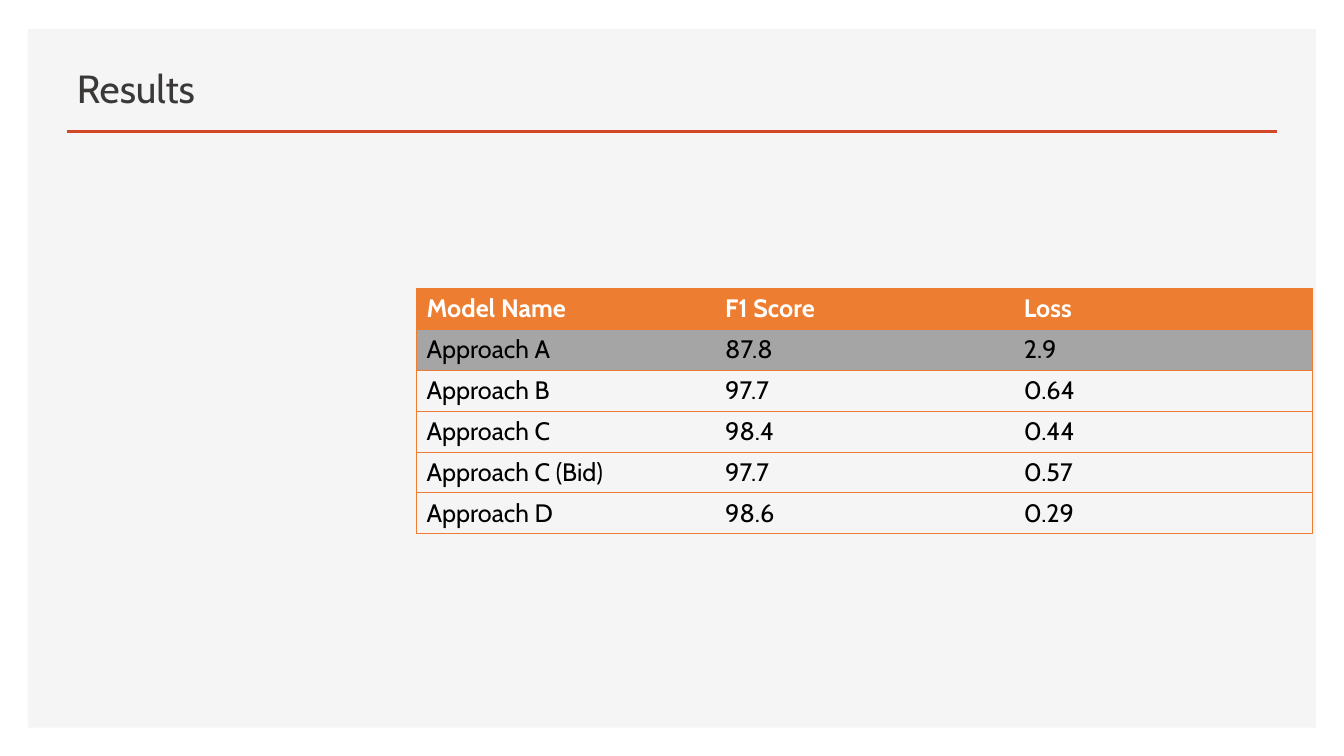
from lxml.etree import SubElement
from pptx import Presentation
from pptx.dml.color import RGBColor
from pptx.enum.shapes import MSO_CONNECTOR, MSO_SHAPE
from pptx.enum.text import MSO_ANCHOR, PP_ALIGN
from pptx.oxml import parse_xml
from pptx.oxml.ns import nsdecls, qn
from pptx.util import Pt

FONT = "Cabin"
ORANGE = "ED7D31"
RESULTS = [
    ("Model Name", "F1 Score", "Loss"),
    ("Approach A", "87.8", "2.9"),
    ("Approach B", "97.7", "0.64"),
    ("Approach C", "98.4", "0.44"),
    ("Approach C (Bid)", "97.7", "0.57"),
    ("Approach D", "98.6", "0.29"),
]


def rgb(color):
    return RGBColor.from_string(color)


def style_text(p, size, color, bold=False):
    p.font.name = FONT
    p.font.size = Pt(size)
    p.font.bold = bold
    p.font.color.rgb = rgb(color)


def add_panel(s, x, y, w, h):
    panel = s.shapes.add_shape(MSO_SHAPE.RECTANGLE, Pt(x), Pt(y), Pt(w), Pt(h))
    panel.shadow.inherit = False
    panel.fill.solid()
    panel.fill.fore_color.rgb = rgb("F5F5F5")
    panel.line.fill.background()
    s.shapes.title.element.addprevious(panel.element)


def add_title(s, text, x, y, w, h):
    title = s.shapes.title
    title.left, title.top, title.width, title.height = Pt(x), Pt(y), Pt(w), Pt(h)
    tf = title.text_frame
    tf.text = text
    tf.vertical_anchor = MSO_ANCHOR.MIDDLE
    p = tf.paragraphs[0]
    p.alignment = PP_ALIGN.LEFT
    p.line_spacing = 0.9
    style_text(p, 28, "3B3838")
    rule = s.shapes.add_connector(
        MSO_CONNECTOR.STRAIGHT, Pt(x), Pt(y + h), Pt(x + w), Pt(y + h))
    rule.line.color.rgb = rgb("D24726")
    rule.line.width = Pt(2)
    SubElement(rule.element.spPr, qn("a:effectLst"))


def set_borders(cell, sides):
    tcPr = cell._tc.get_or_add_tcPr()
    for i, side in enumerate("LRTB"):
        fill = "<a:noFill/>"
        if side in sides:
            fill = f'<a:solidFill><a:srgbClr val="{ORANGE}"/></a:solidFill>'
        tcPr.insert(i, parse_xml(
            f'<a:ln{side} {nsdecls("a")} w="{Pt(0.5)}">{fill}</a:ln{side}>'))


def add_results(s, rows, x, y, w, h):
    n_rows, n_cols = len(rows), len(rows[0])
    table = s.shapes.add_table(n_rows, n_cols, Pt(x), Pt(y), Pt(w), Pt(h)).table
    table.horz_banding = False
    fills = {0: ORANGE, 1: "A5A5A5"}
    for i, row in enumerate(rows):
        table.rows[i].height = Pt(h / n_rows)
        for j, text in enumerate(row):
            cell = table.cell(i, j)
            cell.text = text
            style_text(cell.text_frame.paragraphs[0], 18,
                       "000000" if i else "FFFFFF", i == 0)
            if i in fills:
                cell.fill.solid()
                cell.fill.fore_color.rgb = rgb(fills[i])
            else:
                cell.fill.background()
            set_borders(cell, "TB" + "L" * (j == 0) + "R" * (j == n_cols - 1))


def main():
    prs = Presentation()
    prs.slide_width, prs.slide_height = Pt(960), Pt(540)
    s = prs.slides.add_slide(prs.slide_layouts[5])
    add_panel(s, 20, 20.75, 920, 499)
    add_title(s, "Results", 47.7, 35.1, 864.5, 58.9)
    add_results(s, RESULTS, 297.5, 206, 640, 175.2)
    prs.save("out.pptx")


if __name__ == "__main__":
    main()
